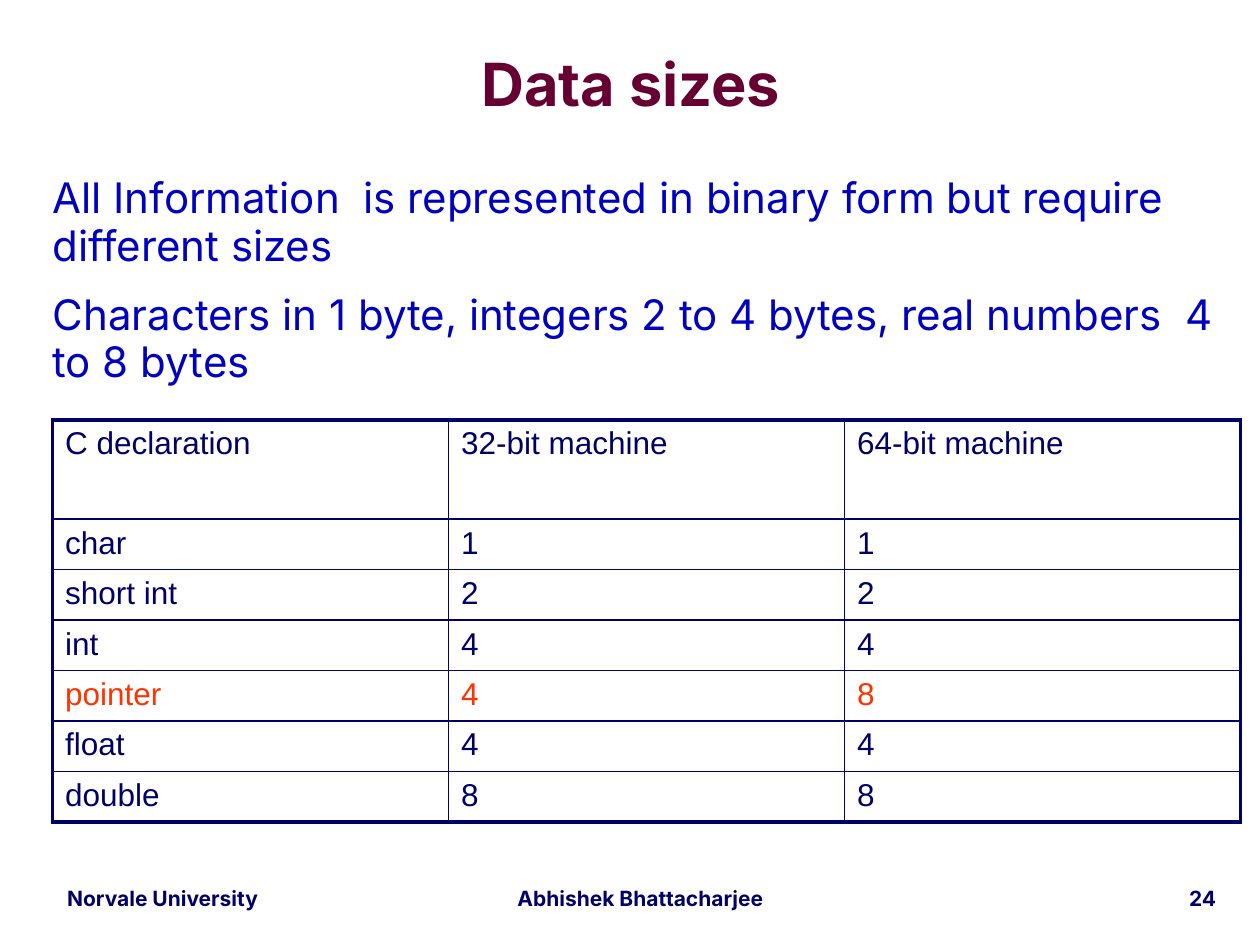
from dataclasses import dataclass

from lxml import etree
from pptx import Presentation
from pptx import util as u
from pptx.dml import color
from pptx.enum import text
from pptx.oxml import ns

NAVY, BLUE, MAROON, RED = "000066", "0000C0", "660033", "FF3300"
THIN, THICK = 1, 2.25
LEFT, CENTER, RIGHT = text.PP_ALIGN.LEFT, text.PP_ALIGN.CENTER, text.PP_ALIGN.RIGHT


@dataclass
class Footer:
    words: str
    left: float
    width: float
    align: text.PP_ALIGN


@dataclass
class SizeRow:
    cells: tuple[str, str, str]
    height: float = 24
    ink: str = NAVY


FOOTERS = [
    Footer("Norvale University", 24, 138, CENTER),
    Footer("Abhishek Bhattacharjee", 288, 156, CENTER),
    Footer("24", 588, 114, RIGHT),
]
STATEMENTS = [
    "All Information  is represented in binary form but require  different sizes",
    "Characters in 1 byte, integers 2 to 4 bytes, real numbers  4 to 8 bytes",
]
SIZE_ROWS = [
    SizeRow(("C declaration", "32-bit machine", "64-bit machine"), height=56.7),
    SizeRow(("char", "1", "1")),
    SizeRow(("short int", "2", "2")),
    SizeRow(("int", "4", "4")),
    SizeRow(("pointer", "4", "8"), ink=RED),
    SizeRow(("float", "4", "4")),
    SizeRow(("double", "8", "8")),
]


def rgb(code: str) -> color.RGBColor:
    return color.RGBColor.from_string(code)


def write(frame, lines: list[str], *, size: float, ink: str, font: str = "Inter",
          bold: bool = False, align=LEFT, leading: float = 1.0, before: float = 0) -> None:
    for index, line in enumerate(lines):
        para = frame.paragraphs[0] if index == 0 else frame.add_paragraph()
        para.alignment = align
        para.line_spacing = leading
        para.space_before = u.Pt(before)
        span = para.add_run()
        span.text = line
        span.font.name = font
        span.font.size = u.Pt(size)
        span.font.bold = bold
        span.font.color.rgb = rgb(ink)


def place(shape, left: float, top: float, width: float, height: float) -> None:
    shape.left, shape.top = u.Pt(left), u.Pt(top)
    shape.width, shape.height = u.Pt(width), u.Pt(height)


def add_text(page, left: float, top: float, width: float, height: float,
             lines: list[str], **style) -> None:
    box = page.shapes.add_textbox(u.Pt(left), u.Pt(top), u.Pt(width), u.Pt(height))
    box.text_frame.word_wrap = True
    write(box.text_frame, lines, **style)


def set_borders(cell, widths: dict[str, float]) -> None:
    properties = cell._tc.get_or_add_tcPr()
    for index, (side, width) in enumerate(widths.items()):
        line = etree.Element(ns.qn(f"a:{side}"), w=str(u.Pt(width)))
        fill = etree.SubElement(line, ns.qn("a:solidFill"))
        etree.SubElement(fill, ns.qn("a:srgbClr"), val=NAVY)
        properties.insert(index, line)


def add_size_table(page, rows: list[SizeRow]) -> None:
    row_count, column_count = len(rows), len(rows[0].cells)
    table = page.shapes.add_table(
        row_count, column_count, u.Pt(30), u.Pt(240), u.Pt(679),
        u.Pt(sum(row.height for row in rows))).table
    table.first_row = table.horz_banding = False
    for r, row in enumerate(rows):
        table.rows[r].height = u.Pt(row.height)
        for c, words in enumerate(row.cells):
            cell = table.cell(r, c)
            cell.fill.background()
            write(cell.text_frame, [words], size=18, ink=row.ink, font="Arial", before=3.6)
            set_borders(cell, {
                "lnL": THICK if c == 0 else THIN,
                "lnR": THICK if c == column_count - 1 else THIN,
                "lnT": THICK if r == 0 else THIN,
                "lnB": THICK if r == row_count - 1 else THIN,
            })


def add_title(page, words: str) -> None:
    title = page.shapes.title
    place(title, 22.5, 19.5, 676, 61)
    frame = title.text_frame
    frame.margin_left = frame.margin_right = frame.margin_top = frame.margin_bottom = 0
    frame.vertical_anchor = text.MSO_ANCHOR.MIDDLE
    frame.auto_size = text.MSO_AUTO_SIZE.NONE
    write(frame, [words], size=34, ink=MAROON, bold=True, align=CENTER, leading=0.87)


def main() -> None:
    deck = Presentation()
    deck.slide_width, deck.slide_height = u.Pt(720), u.Pt(540)
    page = deck.slides.add_slide(deck.slide_layouts[5])
    for footer in FOOTERS:
        add_text(page, footer.left, 504, footer.width, 20.5, [footer.words],
                 size=12, ink=NAVY, bold=True, align=footer.align, leading=0.9)
    add_title(page, "Data sizes")
    add_text(page, 23, 96.5, 679, 396, STATEMENTS,
             size=24, ink=BLUE, leading=0.95, before=12)
    add_size_table(page, SIZE_ROWS)
    deck.save("out.pptx")


main()
